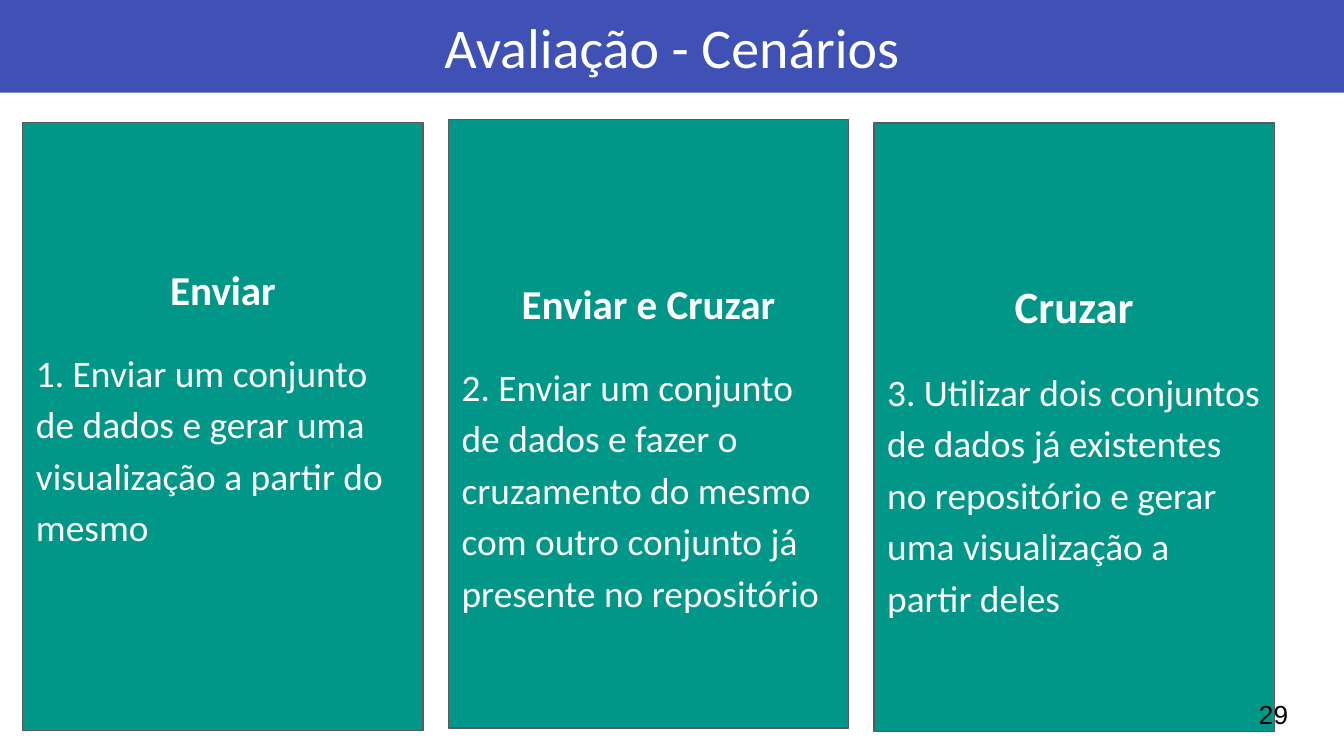
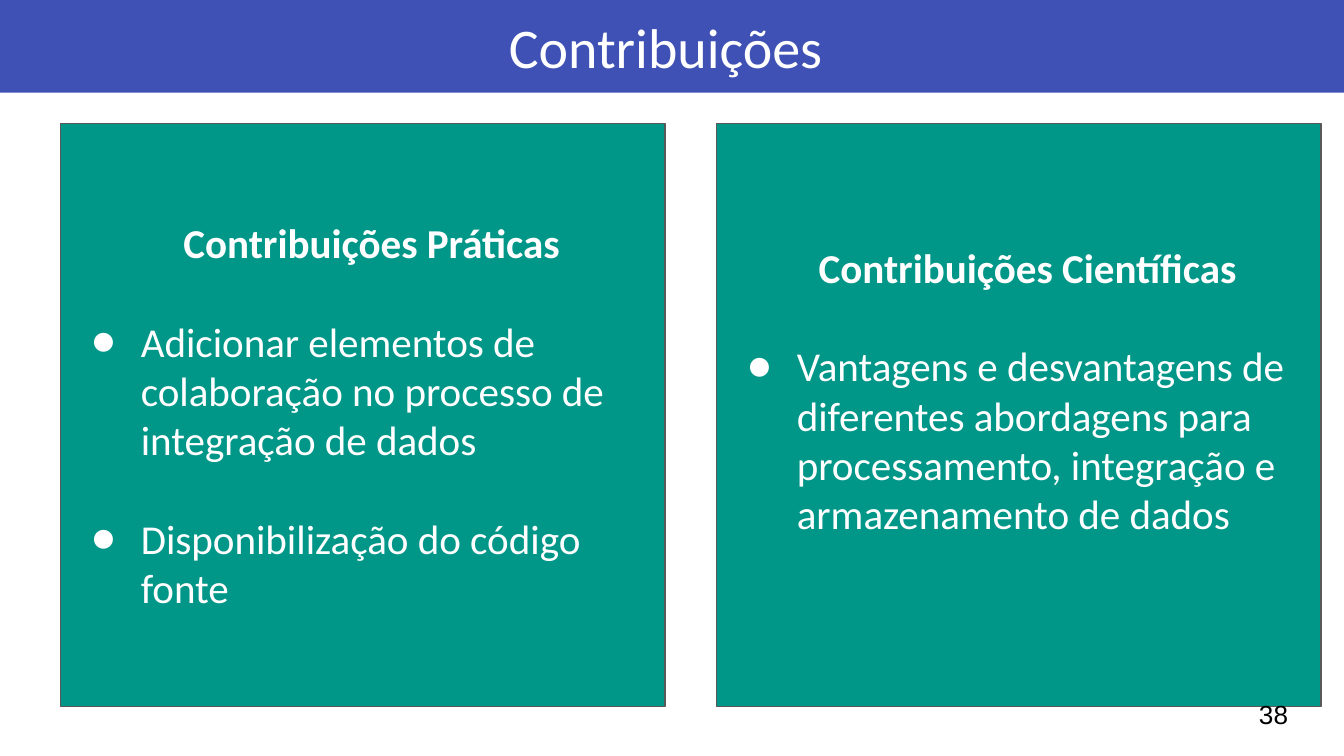
from dataclasses import dataclass

from lxml import etree
from pptx import Presentation
from pptx.dml.color import RGBColor
from pptx.enum.shapes import MSO_SHAPE
from pptx.enum.text import MSO_ANCHOR, PP_ALIGN
from pptx.oxml.ns import qn
from pptx.util import Pt

RECTANGLE = MSO_SHAPE.RECTANGLE
TOP, MIDDLE = MSO_ANCHOR.TOP, MSO_ANCHOR.MIDDLE
LEFT, CENTER = PP_ALIGN.LEFT, PP_ALIGN.CENTER
BLANK_LAYOUT = 6
SLIDE_WIDTH, SLIDE_HEIGHT = 720, 405


@dataclass(frozen=True)
class Theme:
    band: RGBColor = RGBColor(0x3F, 0x51, 0xB5)
    card: RGBColor = RGBColor(0x00, 0x96, 0x88)
    outline: RGBColor = RGBColor(0x59, 0x59, 0x59)
    light: RGBColor = RGBColor(0xFF, 0xFF, 0xFF)
    dark: RGBColor = RGBColor(0x00, 0x00, 0x00)
    text_font: str = "Calibri"
    number_font: str = "Arial"
    title_size: float = 30
    heading_size: float = 22
    large_heading_size: float = 24
    scenario_size: float = 20
    number_size: float = 14
    inset: float = 7.2


THEME = Theme()

# Paragraph spacing of the two kinds of card
SCENARIO_SPACING = {"line_spacing": 1.15, "space_after": Pt(16)}
CONTRIBUTION_SPACING = {"space_after": Pt(26.5)}

# Card grids: left edge, step, width
SCENARIO_LEFT, SCENARIO_STEP, SCENARIO_WIDTH, SCENARIO_HEIGHT = 12.2, 228, 214.5, 326
CONTRIBUTION_LEFT, CONTRIBUTION_STEP, CONTRIBUTION_WIDTH = 32.4, 351.4, 324
CONTRIBUTION_TOP, CONTRIBUTION_HEIGHT = 66.2, 312.5
BULLET_MARGIN, BULLET_INDENT = 36, -26.6

# Card top, distance from card top to heading, heading size, heading, text
SCENARIOS = [
    (65.5, 72, THEME.heading_size, "Enviar",
     "1. Enviar um conjunto de dados e gerar uma visualização a partir do mesmo"),
    (64, 81, THEME.heading_size, "Enviar e Cruzar",
     "2. Enviar um conjunto de dados e fazer o cruzamento do mesmo com outro "
     "conjunto já presente no repositório"),
    (66, 79, THEME.large_heading_size, "Cruzar",
     "3. Utilizar dois conjuntos de dados já existentes no repositório e gerar "
     "uma visualização a partir deles"),
]

# Distance from card top to heading, heading, bullet points
CONTRIBUTIONS = [
    (50.25, "Contribuições Práticas",
     ["Adicionar elementos de colaboração no processo de integração de dados",
      "Disponibilização do código fonte"]),
    (63.5, "Contribuições Científicas",
     ["Vantagens e desvantagens de diferentes abordagens para processamento, "
      "integração e armazenamento de dados"]),
]


def apply_format(target, values):
    for name, value in values.items():
        setattr(target, name, value)


def set_frame(frame, anchor=MIDDLE, top_inset=THEME.inset):
    apply_format(frame, {
        "word_wrap": True, "vertical_anchor": anchor,
        "margin_left": Pt(THEME.inset), "margin_right": Pt(THEME.inset),
        "margin_top": Pt(top_inset), "margin_bottom": Pt(THEME.inset),
    })


def write(paragraph, text, size, align=LEFT, bold=False, color=THEME.light,
          font=THEME.text_font, spacing=None):
    paragraph.text = text
    apply_format(paragraph, {"alignment": align, **(spacing or {})})
    apply_format(paragraph.font, {"size": Pt(size), "bold": bold, "name": font})
    paragraph.font.color.rgb = color


def set_hanging_indent(paragraph):
    properties = paragraph._p.get_or_add_pPr()
    properties.set("marL", str(Pt(BULLET_MARGIN)))
    properties.set("indent", str(Pt(BULLET_INDENT)))
    return properties


def add_bullet(paragraph):
    properties = set_hanging_indent(paragraph)
    bullet_color = etree.SubElement(properties, qn("a:buClr"))
    etree.SubElement(bullet_color, qn("a:srgbClr"), val=str(THEME.light))
    etree.SubElement(properties, qn("a:buFont"), typeface=THEME.text_font)
    etree.SubElement(properties, qn("a:buChar"), char="●")


def add_block(slide, left, top, width, height, fill):
    block = slide.shapes.add_shape(RECTANGLE, Pt(left), Pt(top), Pt(width), Pt(height))
    block.shadow.inherit = False
    block.fill.solid()
    block.fill.fore_color.rgb = fill
    block.line.fill.background()
    return block


def add_card(slide, left, top, width, height, heading_drop):
    card = add_block(slide, left, top, width, height, THEME.card)
    card.line.color.rgb = THEME.outline
    card.line.width = Pt(0.75)
    set_frame(card.text_frame, TOP, heading_drop)
    return card.text_frame


def add_titled_slide(deck, title):
    slide = deck.slides.add_slide(deck.slide_layouts[BLANK_LAYOUT])
    band = add_block(slide, 0, 0, SLIDE_WIDTH, 49.7, THEME.band)
    set_frame(band.text_frame)
    write(band.text_frame.paragraphs[0], title, THEME.title_size, CENTER)
    return slide


def add_page_number(slide, number):
    page = slide.shapes.add_textbox(Pt(667.4), Pt(367.2), Pt(43.2), Pt(31))
    set_frame(page.text_frame)
    write(page.text_frame.paragraphs[0], number, THEME.number_size,
          color=THEME.dark, font=THEME.number_font)


def add_scenario(slide, column, top, heading_drop, heading_size, heading, description):
    left = SCENARIO_LEFT + column * SCENARIO_STEP
    frame = add_card(slide, left, top, SCENARIO_WIDTH, SCENARIO_HEIGHT, heading_drop)
    write(frame.paragraphs[0], heading, heading_size, CENTER, True,
          spacing=SCENARIO_SPACING)
    write(frame.add_paragraph(), description, THEME.scenario_size,
          spacing=SCENARIO_SPACING)


def add_contribution(slide, column, heading_drop, heading, points):
    left = CONTRIBUTION_LEFT + column * CONTRIBUTION_STEP
    frame = add_card(slide, left, CONTRIBUTION_TOP, CONTRIBUTION_WIDTH,
                     CONTRIBUTION_HEIGHT, heading_drop)
    set_hanging_indent(frame.paragraphs[0])
    write(frame.paragraphs[0], heading, THEME.heading_size, CENTER, True,
          spacing=CONTRIBUTION_SPACING)
    for point in points:
        paragraph = frame.add_paragraph()
        add_bullet(paragraph)
        write(paragraph, point, THEME.heading_size, spacing=CONTRIBUTION_SPACING)


def main():
    deck = Presentation()
    deck.slide_width, deck.slide_height = Pt(SLIDE_WIDTH), Pt(SLIDE_HEIGHT)

    # Evaluation scenarios
    evaluation = add_titled_slide(deck, "Avaliação - Cenários")
    for column, scenario in enumerate(SCENARIOS):
        add_scenario(evaluation, column, *scenario)
    add_page_number(evaluation, "29")

    # Contributions
    contributions = add_titled_slide(deck, "Contribuições ")
    for column, contribution in enumerate(CONTRIBUTIONS):
        add_contribution(contributions, column, *contribution)
    add_page_number(contributions, "38")

    deck.save("out.pptx")


if __name__ == "__main__":
    main()
